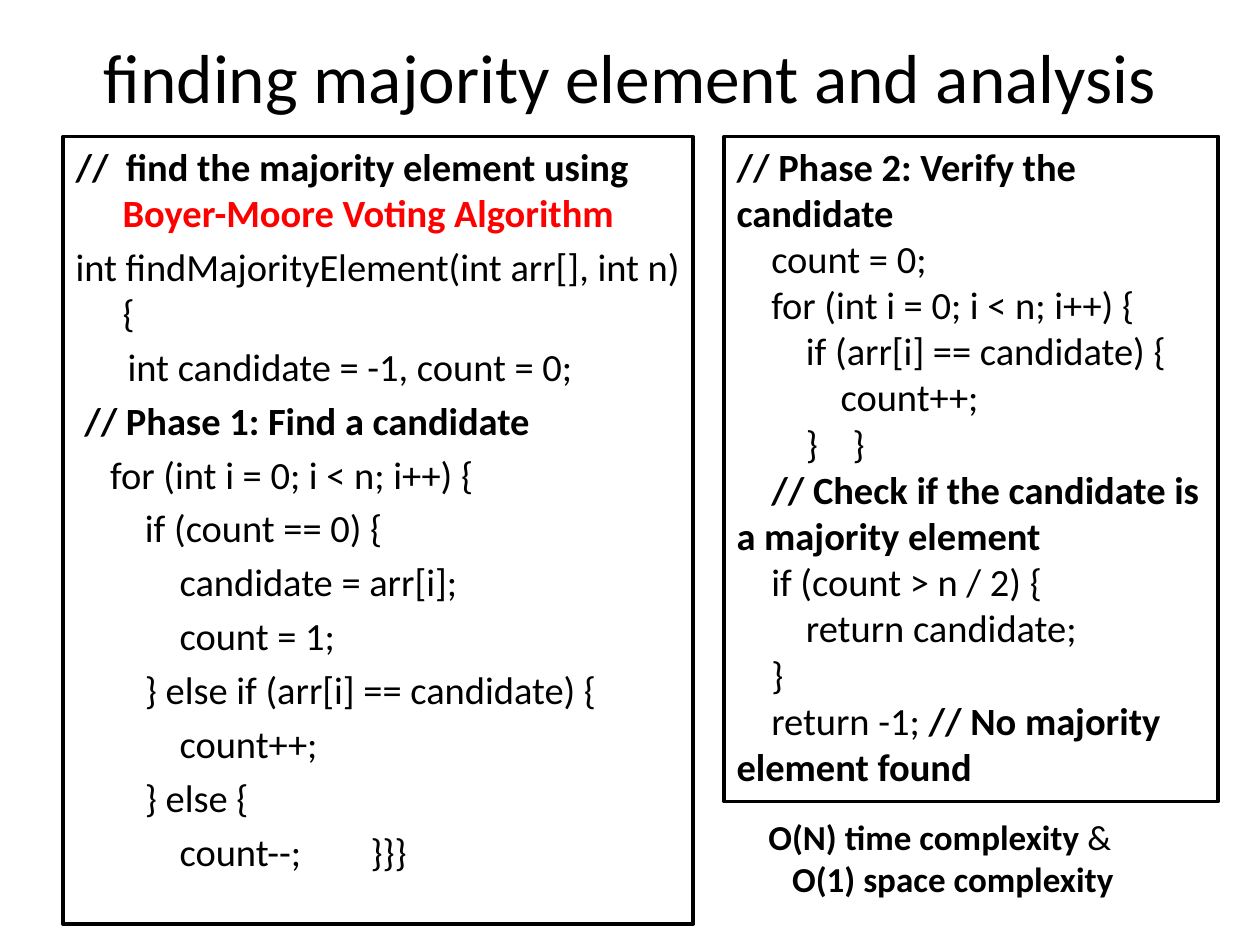
"""Build a slide that finds a majority element in code and states its complexity."""
from lxml.etree import SubElement
from pptx import Presentation
from pptx.dml.color import RGBColor
from pptx.enum.shapes import MSO_SHAPE
from pptx.enum.text import MSO_ANCHOR, MSO_AUTO_SIZE, PP_ALIGN
from pptx.oxml.ns import qn
from pptx.util import Cm, Pt

BLACK = RGBColor(0x00, 0x00, 0x00)
WHITE = RGBColor(0xFF, 0xFF, 0xFF)
RED = RGBColor(0xFF, 0x00, 0x00)
FONT = "Calibri"

FIND_CODE = """//  find the majority element using 
int findMajorityElement(int arr[], int n) {
      int candidate = -1, count = 0;
 // Phase 1: Find a candidate
    for (int i = 0; i < n; i++) {
        if (count == 0) {
            candidate = arr[i];
            count = 1;
        } else if (arr[i] == candidate) {
            count++;
        } else {
            count--;        }}}"""

VERIFY_CODE = """// Phase 2: Verify the candidate
    count = 0;
    for (int i = 0; i < n; i++) {
        if (arr[i] == candidate) {
            count++;
        }    }
    // Check if the candidate is a majority element
    if (count > n / 2) {
        return candidate;
    }
    return -1; // No majority element found"""


def add_run(paragraph, text, size, bold=False, color=BLACK):
    run = paragraph.add_run()
    run.text = text
    run.font.name = FONT
    run.font.size = Pt(size)
    run.font.bold = bold
    run.font.color.rgb = color


def fill_code_box(box, code):
    box.fill.solid()
    box.fill.fore_color.rgb = WHITE
    box.line.color.rgb = BLACK
    box.line.width = Pt(2)
    frame = box.text_frame
    frame.word_wrap = True
    frame.auto_size = MSO_AUTO_SIZE.NONE
    frame.vertical_anchor = MSO_ANCHOR.TOP
    for index, line in enumerate(code.split("\n")):
        paragraph = frame.add_paragraph() if index else frame.paragraphs[0]
        paragraph.alignment = PP_ALIGN.LEFT
        statement, slashes, comment = line.partition("//")
        if statement:
            add_run(paragraph, statement, 22)
        if slashes:
            add_run(paragraph, slashes + comment, 22, bold=True)


prs = Presentation()
prs.slide_width, prs.slide_height = Cm(25.4), Cm(19.05)
slide = prs.slides.add_slide(prs.slide_layouts[1])

heading = slide.shapes.title
heading.left, heading.top, heading.width, heading.height = Cm(1.27), Cm(0.43), Cm(22.86), Cm(2.18)
heading.text_frame.text = "finding majority element and analysis"
heading.text_frame.auto_size = MSO_AUTO_SIZE.NONE
heading.text_frame.vertical_anchor = MSO_ANCHOR.MIDDLE
heading_line = heading.text_frame.paragraphs[0]
heading_line.alignment = PP_ALIGN.CENTER
heading_font = heading_line.runs[0].font
heading_font.name = FONT
heading_font.size = Pt(39.6)
heading_font.color.rgb = BLACK

find_phase = slide.placeholders[1]
find_phase.left, find_phase.top, find_phase.width, find_phase.height = Cm(1.27), Cm(2.75), Cm(12.7), Cm(15.88)
fill_code_box(find_phase, FIND_CODE)
find_lines = find_phase.text_frame.paragraphs
add_run(find_lines[0], "Boyer-Moore Voting Algorithm", 22, bold=True, color=RED)
for line in find_lines:
    properties = line._p.get_or_add_pPr()
    properties.set("marL", str(Cm(0.95)))
    properties.set("indent", str(-Cm(0.95)))
    SubElement(properties, qn("a:buNone"))
find_lines[0].space_before = Pt(0)

verify_phase = slide.shapes.add_shape(MSO_SHAPE.RECTANGLE, Cm(14.6), Cm(2.75), Cm(9.96), Cm(13.41))
verify_phase.shadow.inherit = False
fill_code_box(verify_phase, VERIFY_CODE)

complexity = slide.shapes.add_textbox(Cm(15.24), Cm(16.31), Cm(9.53), Cm(1.96))
complexity.text_frame.word_wrap = True
complexity_line = complexity.text_frame.paragraphs[0]
complexity_properties = complexity_line._p.get_or_add_pPr()
complexity_properties.set("marL", str(Cm(0.48)))
complexity_properties.set("indent", str(-Cm(0.48)))
add_run(complexity_line, "O(N) time complexity ", 20, bold=True)
add_run(complexity_line, "& ", 20)
complexity_line.add_line_break()
add_run(complexity_line, "O(1) space complexity", 20, bold=True)

prs.save("out.pptx")
